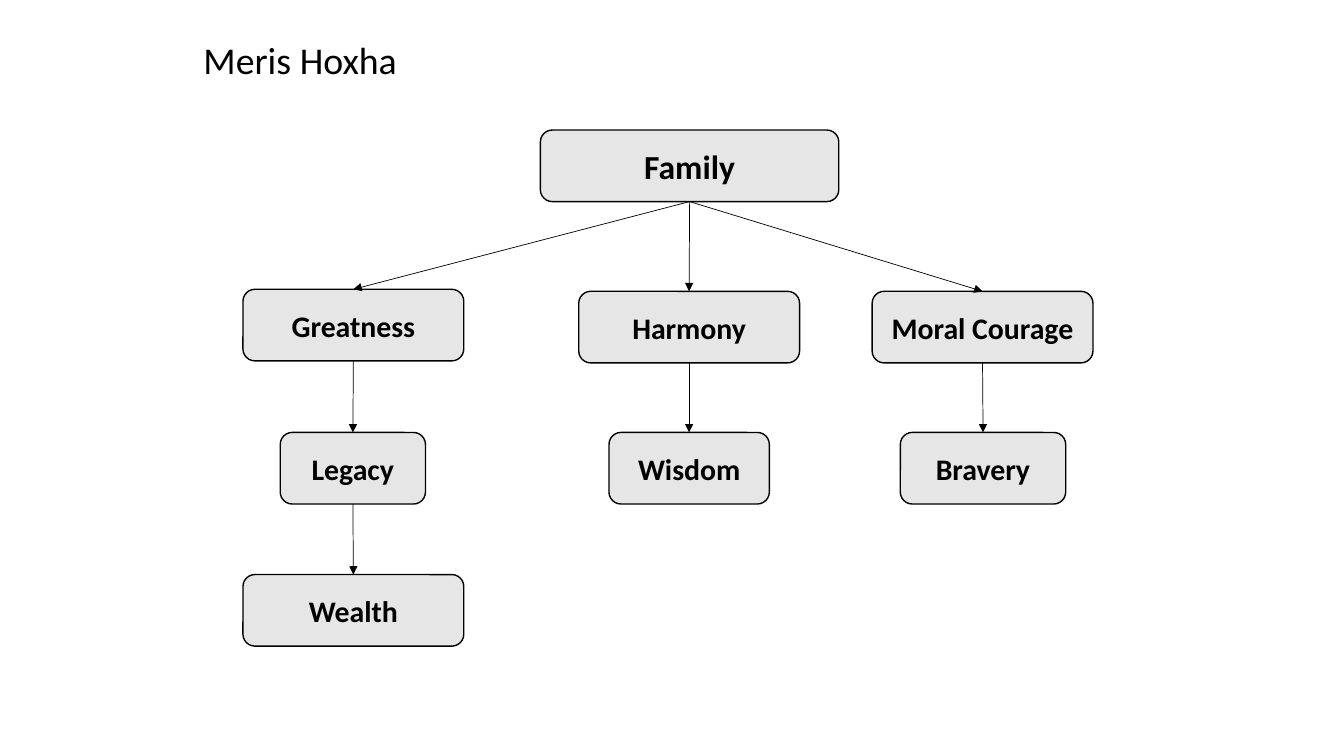
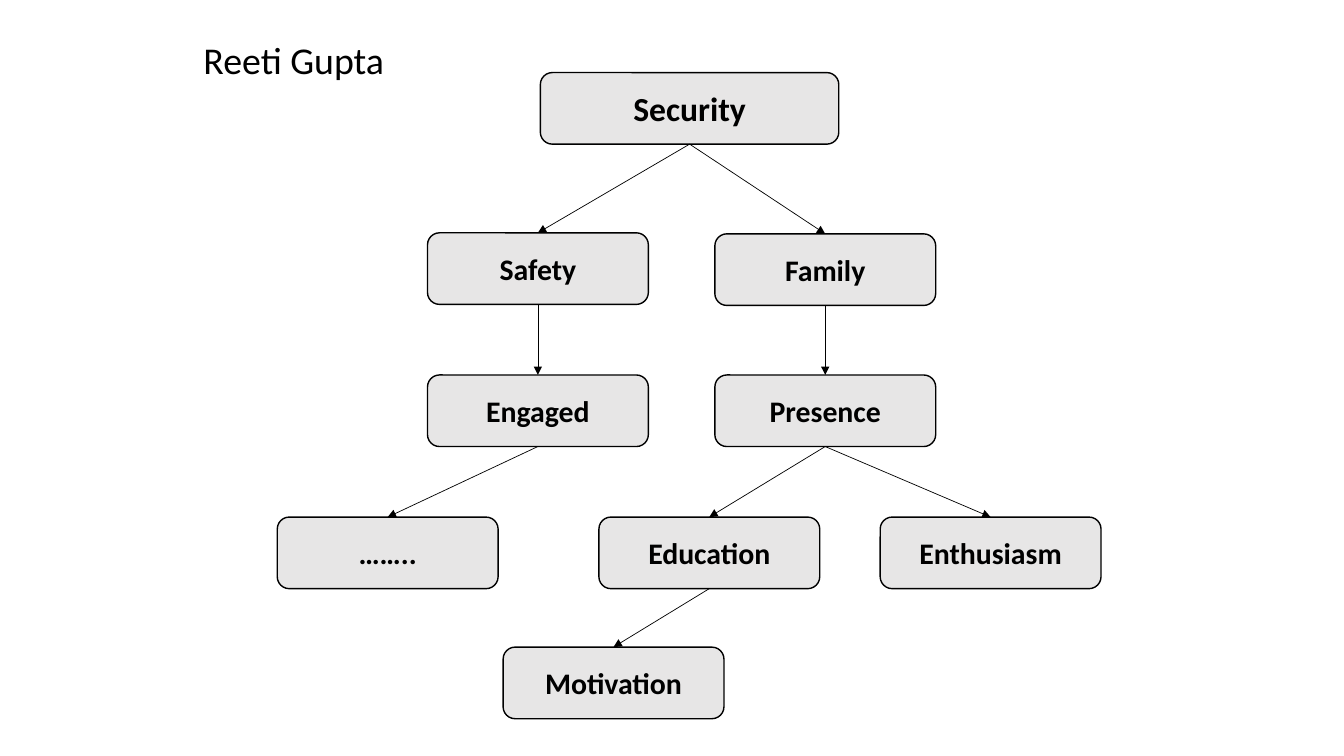
import dataclasses

import lxml.etree
import pptx
import pptx.dml.color
import pptx.enum.shapes
import pptx.enum.text
import pptx.oxml.ns
import pptx.shapes.autoshape
import pptx.shapes.connector
import pptx.slide
import pptx.util

EMU_PER_PX = 9144
PAGE_WIDTH, PAGE_HEIGHT = 1333, 750
NODE_HEIGHT = 71
WIDE, ROOT_WIDE = 219, 296
BOTTOM_SITE, TOP_SITE = 2, 0

BLACK = pptx.dml.color.RGBColor(0x00, 0x00, 0x00)
NODE_GREY = pptx.dml.color.RGBColor(0xE7, 0xE6, 0xE6)
FONT = "Calibri"
ALIGN = pptx.enum.text.PP_ALIGN


@dataclasses.dataclass(frozen=True)
class Node:
    label: str
    left: int
    top: int
    parent: str = ""
    width: int = WIDE


@dataclasses.dataclass(frozen=True)
class Tree:
    person: str
    nodes: tuple[Node, ...]


TREES = (
    Tree("Meris Hoxha", (
        Node("Family", 536, 129, width=ROOT_WIDE),
        Node("Greatness", 241, 287, "Family"),
        Node("Harmony", 574, 289, "Family"),
        Node("Moral Courage", 865, 289, "Family"),
        Node("Legacy", 278, 429, "Greatness", 144),
        Node("Wisdom", 604, 429, "Harmony", 159),
        Node("Bravery", 893, 429, "Moral Courage", 164),
        Node("Wealth", 241, 570, "Legacy"),
    )),
    Tree("Reeti Gupta", (
        Node("Security", 536, 72, width=ROOT_WIDE),
        Node("Safety", 424, 231, "Security"),
        Node("Family", 709, 232, "Security"),
        Node("Engaged", 424, 372, "Safety"),
        Node("Presence", 709, 372, "Family"),
        Node("……..", 275, 513, "Engaged"),
        Node("Education", 594, 513, "Presence"),
        Node("Enthusiasm", 873, 513, "Presence"),
        Node("Motivation", 499, 642, "Education"),
    )),
)


def px(length: int) -> pptx.util.Emu:
    return pptx.util.Emu(length * EMU_PER_PX)


def write_text(
    box: pptx.shapes.autoshape.Shape,
    text: str,
    *,
    size: float,
    bold: bool = False,
    align: ALIGN = ALIGN.LEFT,
) -> None:
    frame = box.text_frame
    frame.word_wrap = True
    frame.vertical_anchor = pptx.enum.text.MSO_ANCHOR.MIDDLE
    para = frame.paragraphs[0]
    para.alignment = align
    span = para.add_run()
    span.text = text
    span.font.name = FONT
    span.font.size = pptx.util.Pt(size)
    span.font.bold = bold
    span.font.color.rgb = BLACK


def add_title(page: pptx.slide.Slide, person: str) -> None:
    box = page.shapes.add_textbox(px(192), px(32), px(786), px(53))
    write_text(box, person, size=27)


def add_node(page: pptx.slide.Slide, node: Node) -> pptx.shapes.autoshape.Shape:
    box = page.shapes.add_shape(
        pptx.enum.shapes.MSO_SHAPE.ROUNDED_RECTANGLE,
        px(node.left), px(node.top), px(node.width), px(NODE_HEIGHT),
    )
    box.shadow.inherit = False
    box.fill.solid()
    box.fill.fore_color.rgb = NODE_GREY
    box.line.color.rgb = BLACK
    box.line.width = pptx.util.Pt(1)
    size = 21.3 if node.parent else 24
    write_text(box, node.label, size=size, bold=True, align=ALIGN.CENTER)
    return box


def add_arrow(
    page: pptx.slide.Slide,
    parent: pptx.shapes.autoshape.Shape,
    child: pptx.shapes.autoshape.Shape,
) -> None:
    arrow: pptx.shapes.connector.Connector = page.shapes.add_connector(
        pptx.enum.shapes.MSO_CONNECTOR.STRAIGHT, 0, 0, 0, 0
    )
    arrow.begin_connect(parent, BOTTOM_SITE)
    arrow.end_connect(child, TOP_SITE)
    arrow.line.color.rgb = BLACK
    arrow.line.width = pptx.util.Pt(0.5)
    qn = pptx.oxml.ns.qn
    outline = arrow.line._get_or_add_ln()
    lxml.etree.SubElement(outline, qn("a:tailEnd"), type="triangle")
    lxml.etree.SubElement(arrow._element.spPr, qn("a:effectLst"))


def add_tree(deck: pptx.presentation.Presentation, tree: Tree) -> None:
    page = deck.slides.add_slide(deck.slide_layouts[6])
    boxes = {node.label: add_node(page, node) for node in tree.nodes}
    for node in tree.nodes:
        if node.parent:
            add_arrow(page, boxes[node.parent], boxes[node.label])
    add_title(page, tree.person)


def main() -> None:
    deck = pptx.Presentation()
    deck.slide_width, deck.slide_height = px(PAGE_WIDTH), px(PAGE_HEIGHT)
    for tree in TREES:
        add_tree(deck, tree)
    deck.save("out.pptx")


if __name__ == "__main__":
    main()
